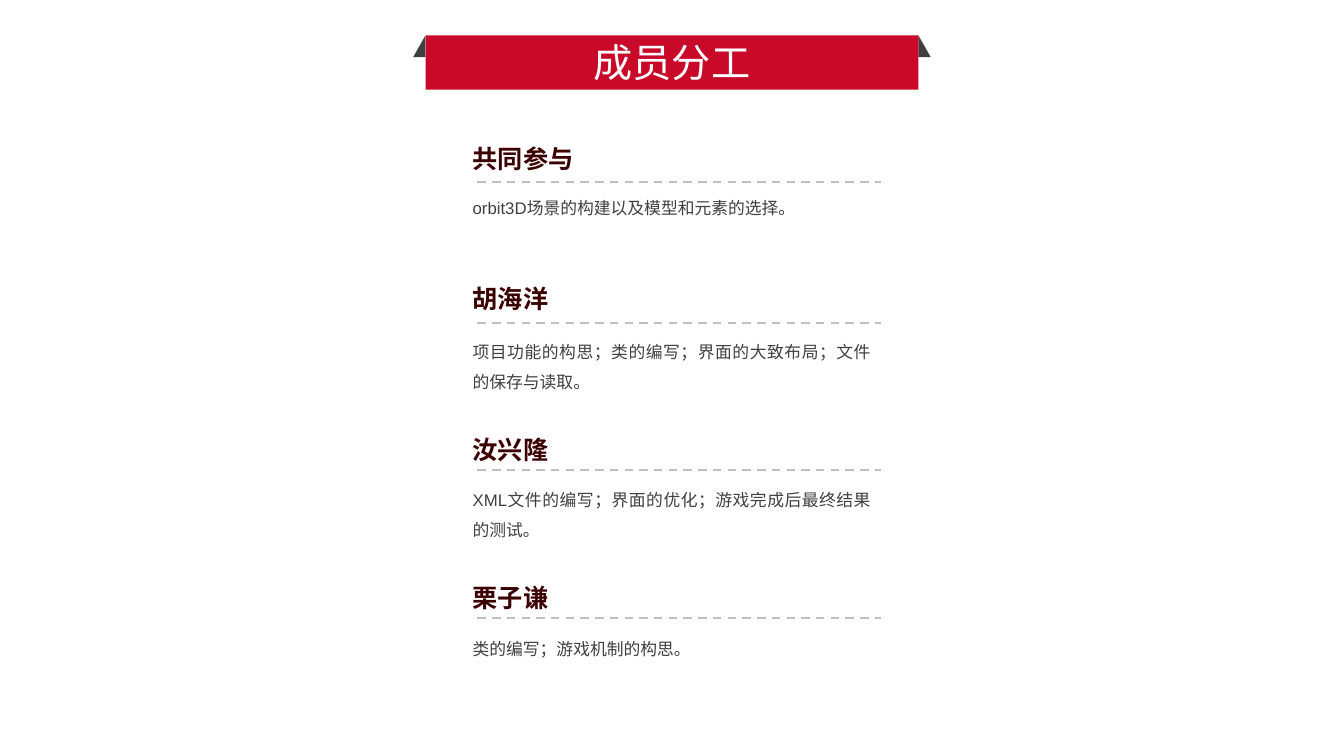
from lxml.etree import SubElement
from pptx import Presentation
from pptx.dml.color import RGBColor
from pptx.enum.dml import MSO_LINE
from pptx.enum.shapes import MSO_CONNECTOR, MSO_SHAPE
from pptx.enum.text import MSO_ANCHOR, MSO_AUTO_SIZE, PP_ALIGN
from pptx.oxml.ns import qn
from pptx.util import Pt

RED = RGBColor(0xC8, 0x0A, 0x28)
DARK = RGBColor(0x40, 0x40, 0x40)
MAROON = RGBColor(0x3C, 0x00, 0x00)
GRAY = RGBColor(0xBF, 0xBF, 0xBF)
WHITE = RGBColor(0xFF, 0xFF, 0xFF)
CJK = "Noto Sans CJK SC"


def write(sp, text, size, color, latin="Arial", bold=False, align=PP_ALIGN.LEFT):
    tf = sp.text_frame
    tf.word_wrap = True
    p = tf.paragraphs[0]
    p.text = text
    p.alignment = align
    font = p.font
    font.size, font.bold, font.name = Pt(size), bold, latin
    SubElement(font._element, qn("a:ea"), typeface=CJK)
    font.color.rgb = color
    return p


def add_block(shapes, kind, left, top, width, height, color):
    sp = shapes.add_shape(kind, Pt(left), Pt(top), Pt(width), Pt(height))
    sp.shadow.inherit = False
    sp.fill.solid()
    sp.fill.fore_color.rgb = color
    sp.line.fill.background()
    return sp


prs = Presentation()
prs.slide_width, prs.slide_height = Pt(960), Pt(540)
s = prs.slides.add_slide(prs.slide_layouts[5])

# Title ribbon with folded ends
add_block(s.shapes, MSO_SHAPE.RIGHT_TRIANGLE, 656, 25.2, 8.8, 15.6, DARK)
fold = add_block(s.shapes, MSO_SHAPE.RIGHT_TRIANGLE, 295.2, 25.2, 8.8, 15.6, DARK)
fold._element.spPr.get_or_add_xfrm().set("flipH", "1")
add_block(s.shapes, MSO_SHAPE.RECTANGLE, 304, 25.2, 352, 38.8, RED)

title = s.shapes.title
title.left, title.top, title.width, title.height = Pt(304), Pt(24.5), Pt(352), Pt(39.6)
write(title, "成员分工", 28, WHITE, latin=CJK, align=PP_ALIGN.CENTER)
title.text_frame.auto_size = MSO_AUTO_SIZE.NONE
title.text_frame.vertical_anchor = MSO_ANCHOR.MIDDLE
s.shapes._spTree.append(title._element)

# Sections: name, duties, then tops of name, rule and duties, and duties height
sections = [
    ("共同参与", "orbit3D场景的构建以及模型和元素的选择。", 98.6, 130.3, 130.3, 28.8),
    ("胡海洋", "项目功能的构思；类的编写；界面的大致布局；文件的保存与读取。",
     198.7, 230.4, 233.3, 51.1),
    ("汝兴隆", "XML文件的编写；界面的优化；游戏完成后最终结果的测试。",
     306.7, 335.5, 339.1, 51.1),
    ("栗子谦", "类的编写；游戏机制的构思。", 412.6, 441.4, 445.7, 28.8),
]
for name, duties, name_top, rule_top, duties_top, duties_height in sections:
    group = s.shapes.add_group_shape().shapes

    heading = group.add_textbox(Pt(330.5), Pt(name_top), Pt(90), Pt(28.8))
    write(heading, name, 18, MAROON, bold=True)

    rule = group.add_connector(MSO_CONNECTOR.STRAIGHT, Pt(341), Pt(rule_top),
                               Pt(629.3), Pt(rule_top))
    rule.line.color.rgb = GRAY
    rule.line.width = Pt(1.5)
    rule.line.dash_style = MSO_LINE.DASH
    SubElement(rule._element.spPr, qn("a:effectLst"))

    body = group.add_textbox(Pt(330.5), Pt(duties_top), Pt(298.8), Pt(duties_height))
    p = write(body, duties, 12, DARK, align=PP_ALIGN.JUSTIFY)
    p.line_spacing = 1.5

prs.save("out.pptx")
